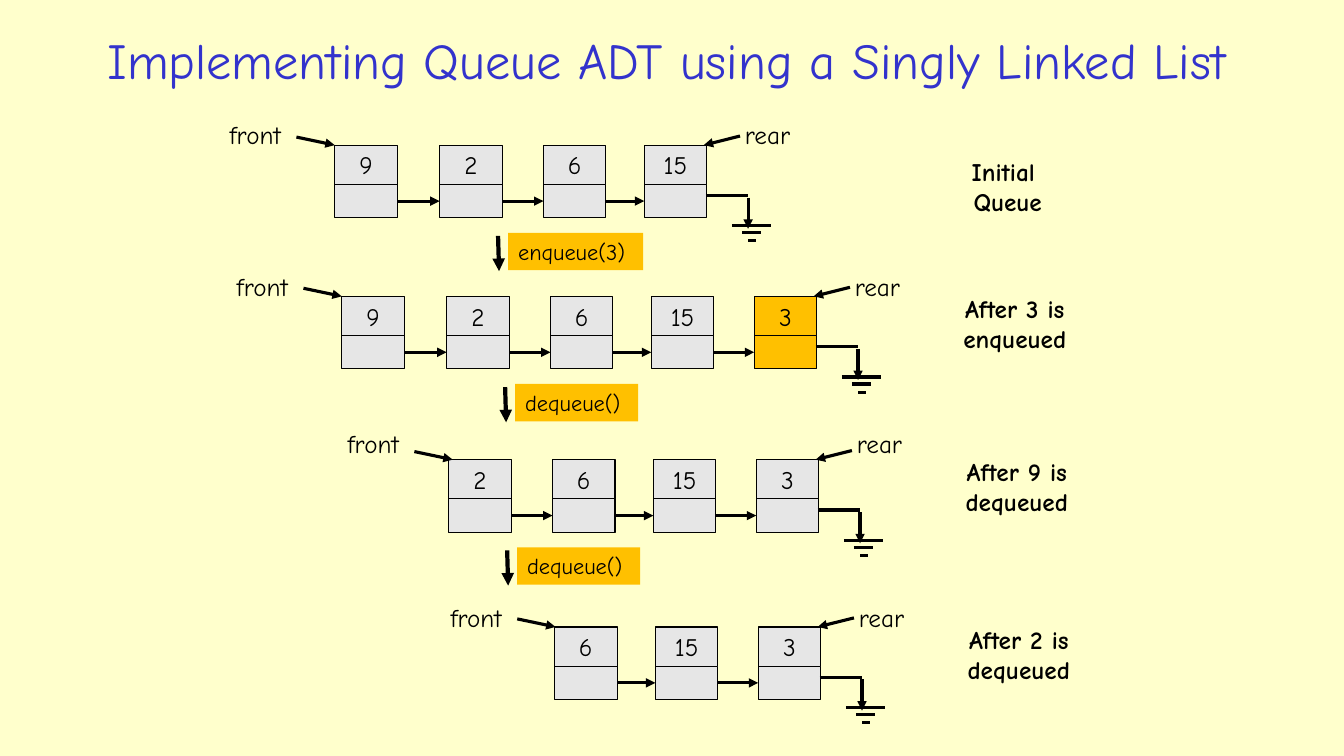
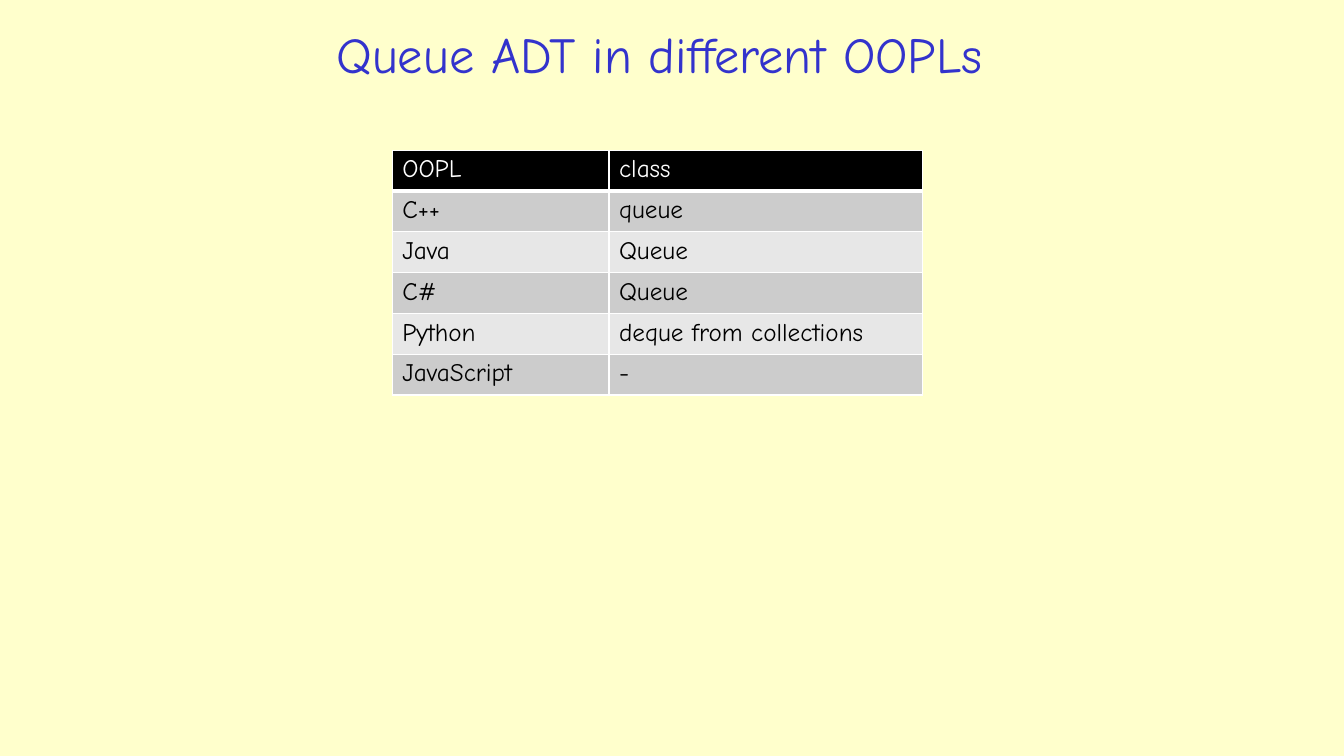
from dataclasses import dataclass
from itertools import pairwise

from lxml import etree
from pptx import Presentation
from pptx.dml.color import RGBColor
from pptx.enum import shapes, text
from pptx.oxml import ns
from pptx.util import Inches, Pt


@dataclass(frozen=True)
class Theme:
    font: str = "Comic Neue"
    background: str = "FFFFCC"
    title: str = "3333CC"
    ink: str = "000000"
    paper: str = "FFFFFF"
    node: str = "E6E6E6"
    highlight: str = "FFC000"
    bands: tuple[str, str] = ("CCCCCC", "E7E7E7")
    title_size: float = 36
    body_size: float = 18
    operation_size: float = 16
    outline: float = 0.75
    link: float = 2.25
    step: float = 3


@dataclass(frozen=True)
class Stage:
    left: float
    top: float
    values: tuple[str, ...]
    caption: tuple[str, ...]
    caption_top: float
    label_top: float
    front_left: float
    operation: str = ""
    operation_width: float = 0
    added: str = ""


THEME = Theme()
NODE_WIDTH, VALUE_HEIGHT, POINTER_HEIGHT = 0.62, 0.39, 0.33
NODE_OFFSETS = {"9": 0, "2": 1.04, "6": 2.07, "15": 3.07, "3": 4.09}
GROUND_LINES = (
    (1.03, 0.52, 1.03, 0.83, True),
    (0.87, 0.80, 1.26, 0.80, False),
    (0.97, 0.87, 1.16, 0.87, False),
    (1.03, 0.95, 1.11, 0.95, False),
    (0.61, 0.50, 1.03, 0.50, False),
)
STAGES = (
    Stage(3.32, 1.44, ("9", "2", "6", "15"), ("Initial ", "Queue"),
          1.5, 1.13, 2.94, "enqueue(3)", 1.34),
    Stage(3.39, 2.94, ("9", "2", "6", "15", "3"), ("After 3 is enqueued",),
          2.86, 2.64, 3.01, "dequeue()", 1.22, "3"),
    Stage(3.41, 4.56, ("2", "6", "15", "3"), ("After 9 is dequeued",),
          4.48, 4.2, 4.11, "dequeue()", 1.22),
    Stage(3.43, 6.22, ("6", "15", "3"), ("After 2 is dequeued",),
          6.14, 5.93, 5.13),
)
CLASSES = (
    ("OOPL", "class"),
    ("C++", "queue"),
    ("Java", "Queue"),
    ("C#", "Queue"),
    ("Python", "deque from collections"),
    ("JavaScript", "-"),
)


def rgb(color: str) -> RGBColor:
    return RGBColor.from_string(color)


def write(frame, lines: tuple[str, ...], size: float = THEME.body_size,
          color: str = THEME.ink, bold: bool = False,
          align=text.PP_ALIGN.LEFT) -> None:
    frame.text = "\n".join(lines)
    for para in frame.paragraphs:
        para.alignment = align
        para.font.name = THEME.font
        para.font.size = Pt(size)
        para.font.bold = bold
        para.font.color.rgb = rgb(color)


def add_page(deck, title: str, left: float, top: float, width: float):
    page = deck.slides.add_slide(deck.slide_layouts.get_by_name("Title Only"))
    box = page.shapes.title
    box.left, box.top = Inches(left), Inches(top)
    box.width, box.height = Inches(width), Inches(0.76)
    box.text_frame.auto_size = text.MSO_AUTO_SIZE.NONE
    box.text_frame.vertical_anchor = text.MSO_ANCHOR.MIDDLE
    write(box.text_frame, (title,), THEME.title_size, THEME.title,
          align=text.PP_ALIGN.CENTER)
    return page


def add_box(page, left: float, top: float, width: float, height: float,
            fill: str, outlined: bool = True):
    box = page.shapes.add_shape(shapes.MSO_SHAPE.RECTANGLE, Inches(left),
                                Inches(top), Inches(width), Inches(height))
    box.shadow.inherit = False
    box.fill.solid()
    box.fill.fore_color.rgb = rgb(fill)
    if outlined:
        box.line.color.rgb = rgb(THEME.ink)
        box.line.width = Pt(THEME.outline)
    else:
        box.line.fill.background()
    return box


def add_label(page, lines: tuple[str, ...], left: float, top: float,
              width: float, height: float = 0.4, wrap: bool = False, **style):
    box = page.shapes.add_textbox(Inches(left), Inches(top),
                                  Inches(width), Inches(height))
    box.text_frame.word_wrap = wrap
    write(box.text_frame, lines, **style)


def add_line(page, x1: float, y1: float, x2: float, y2: float,
             arrow: bool = True, width: float = THEME.link):
    line = page.shapes.add_connector(shapes.MSO_CONNECTOR.STRAIGHT, Inches(x1),
                                     Inches(y1), Inches(x2), Inches(y2))
    line.line.color.rgb = rgb(THEME.ink)
    line.line.width = Pt(width)
    if arrow:
        tail = etree.SubElement(line.line._get_or_add_ln(), ns.qn("a:tailEnd"))
        tail.set("type", "triangle")
    etree.SubElement(line._element.spPr, ns.qn("a:effectLst"))
    return line


def add_node(page, value: str, left: float, top: float, fill: str):
    box = add_box(page, left, top, NODE_WIDTH, VALUE_HEIGHT, fill)
    write(box.text_frame, (value,), align=text.PP_ALIGN.CENTER)
    return add_box(page, left, top + VALUE_HEIGHT, NODE_WIDTH, POINTER_HEIGHT, fill)


def add_operation(page, stage: Stage) -> None:
    left, top = stage.left + 1.62, stage.top + 0.9
    add_line(page, left, top, left + 0.01, top + 0.35, width=THEME.step)
    box = add_box(page, left + 0.1, top - 0.03, stage.operation_width, 0.37,
                  THEME.highlight, outlined=False)
    box.text_frame.word_wrap = False
    write(box.text_frame, (stage.operation,), THEME.operation_size)


def add_stage(page, stage: Stage) -> None:
    top = stage.top
    lefts = [stage.left + NODE_OFFSETS[value] for value in stage.values]
    pointers = [
        add_node(page, value, left, top,
                 THEME.highlight if value == stage.added else THEME.node)
        for value, left in zip(stage.values, lefts)
    ]
    for source, target in pairwise(pointers):
        link = add_line(page, 0, 0, 1, 0)
        link.begin_connect(source, 3)
        link.end_connect(target, 1)

    last = lefts[-1]
    for x1, y1, x2, y2, arrow in GROUND_LINES:
        add_line(page, last + x1, top + y1, last + x2, top + y2, arrow)

    front = stage.front_left
    add_line(page, front, top - 0.08, front + 0.38, top)
    add_label(page, ("front",), front - 0.76, stage.label_top, 0.83)
    add_line(page, last + 0.95, top - 0.09, last + 0.59, top)
    add_label(page, ("rear",), last + 0.9, stage.label_top, 0.71)
    add_label(page, stage.caption, stage.left + 5.74, stage.caption_top, 1.87,
              0.71, wrap=True, bold=True, align=text.PP_ALIGN.CENTER)
    if stage.operation:
        add_operation(page, stage)


def add_borders(cell, bottom: float) -> None:
    properties = cell._tc.get_or_add_tcPr()
    for side, width in (("L", 1), ("R", 1), ("T", 1), ("B", bottom)):
        border = etree.SubElement(properties, ns.qn(f"a:ln{side}"), w=str(Pt(width)))
        fill = etree.SubElement(border, ns.qn("a:solidFill"))
        etree.SubElement(fill, ns.qn("a:srgbClr"), val=THEME.paper)


def add_class_table(page) -> None:
    widths, row_height = (2.15, 3.11), 0.405
    table = page.shapes.add_table(
        len(CLASSES), len(widths), Inches(3.89), Inches(1.49),
        Inches(sum(widths)), Inches(row_height * len(CLASSES))).table
    table.horz_banding = False
    for column, width in zip(table.columns, widths):
        column.width = Inches(width)
    for index, (row, values) in enumerate(zip(table.rows, CLASSES)):
        header = index == 0
        for cell, value in zip(row.cells, values):
            add_borders(cell, 3 if header else 1)
            cell.fill.solid()
            cell.fill.fore_color.rgb = rgb(
                THEME.ink if header else THEME.bands[(index - 1) % 2])
            write(cell.text_frame, (value,),
                  color=THEME.paper if header else THEME.ink)


def main() -> None:
    deck = Presentation()
    deck.slide_width, deck.slide_height = Inches(13.33), Inches(7.5)
    background = deck.slide_master.background.fill
    background.solid()
    background.fore_color.rgb = rgb(THEME.background)

    page = add_page(deck, "Implementing Queue ADT using a Singly Linked List",
                    0.24, 0.21, 12.74)
    for stage in STAGES:
        add_stage(page, stage)

    add_class_table(add_page(deck, "Queue ADT in different OOPLs", 0.33, 0.15, 12.42))
    deck.save("out.pptx")


if __name__ == "__main__":
    main()
